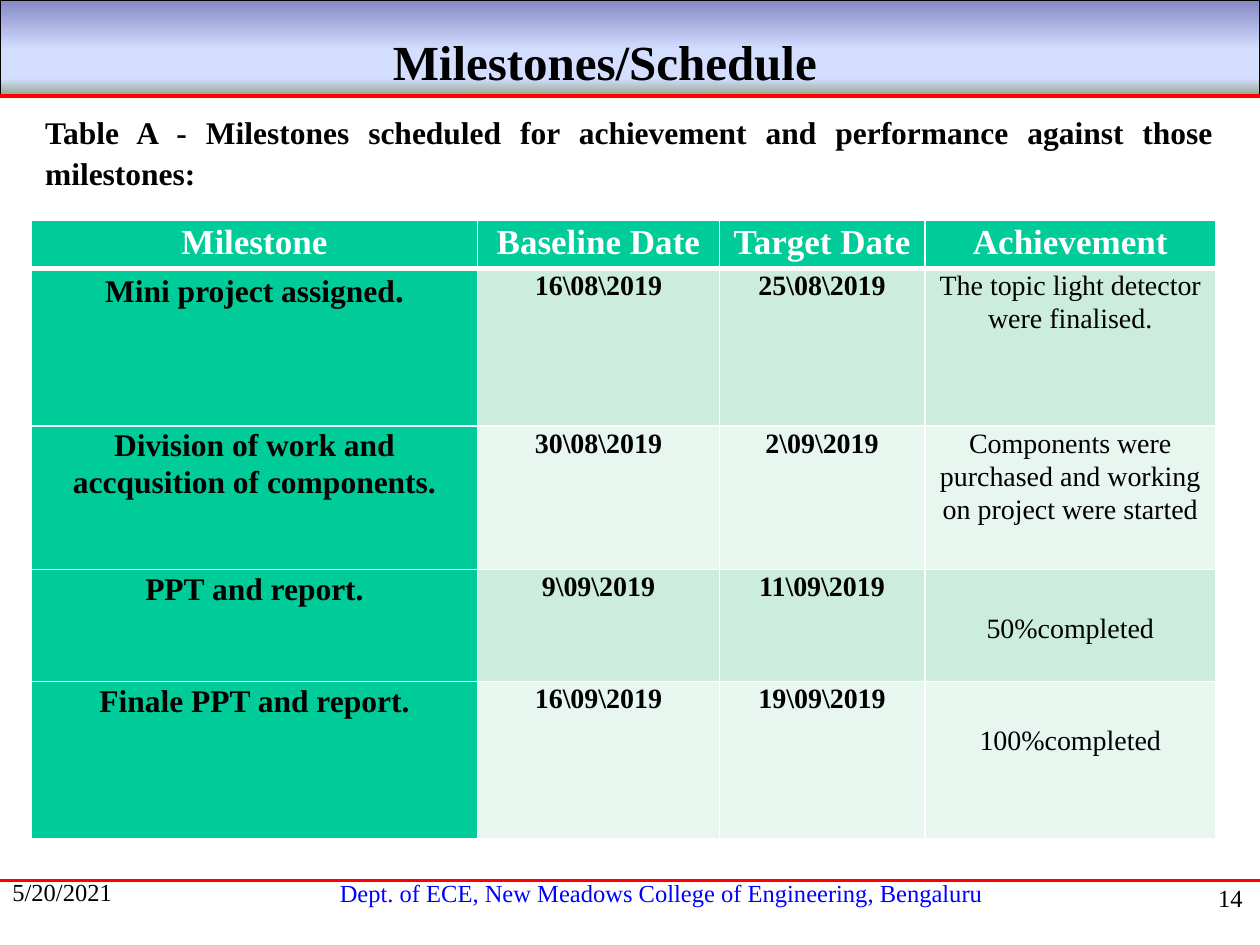
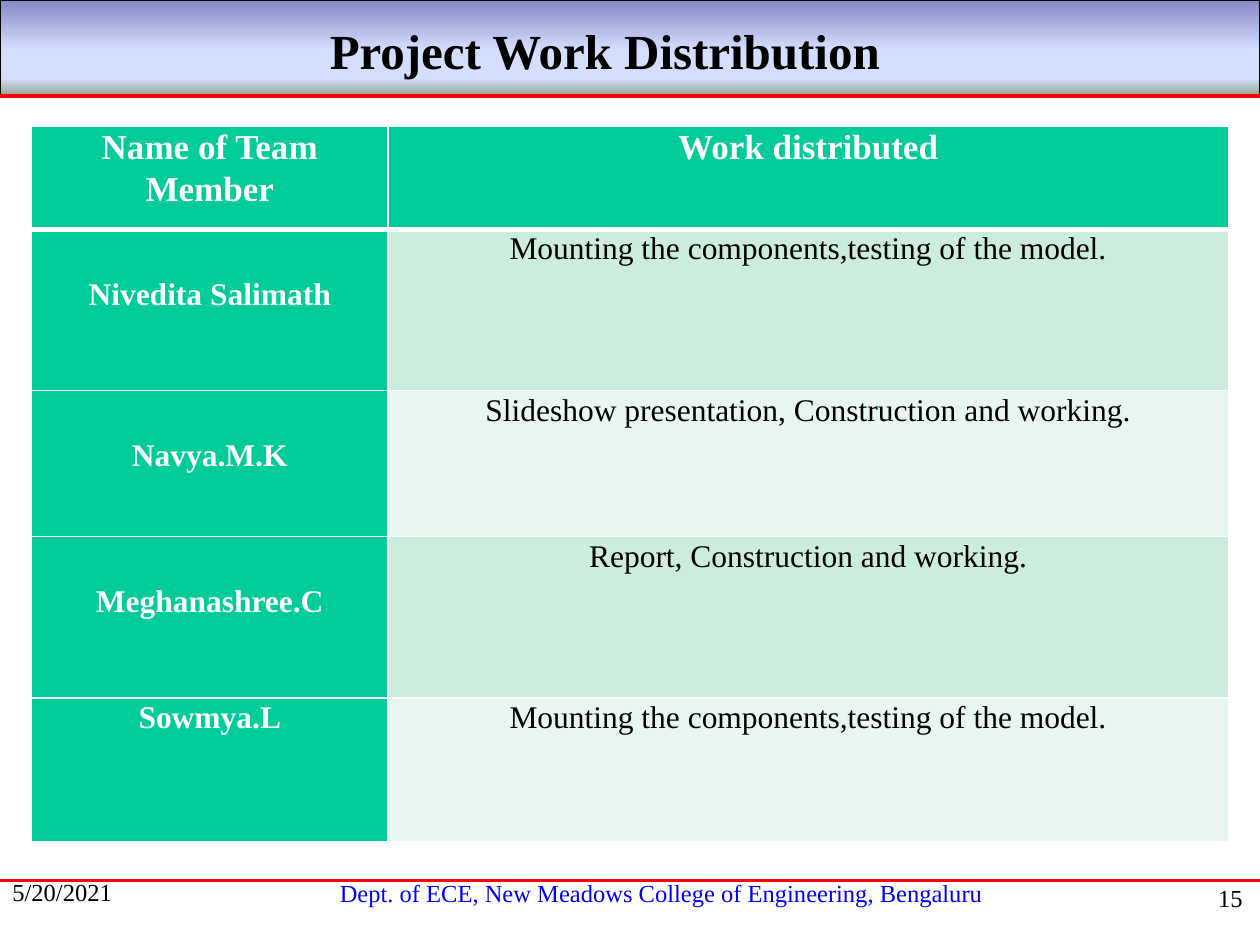
from dataclasses import dataclass
from lxml.etree import SubElement
from pptx import Presentation
from pptx.dml.color import RGBColor
from pptx.enum.shapes import MSO_CONNECTOR, MSO_SHAPE
from pptx.enum.text import MSO_ANCHOR, PP_ALIGN
from pptx.oxml.ns import qn
from pptx.util import Inches, Pt


@dataclass(frozen=True)
class Theme:
    font: str = "Times New Roman"
    black: str = "000000"
    white: str = "FFFFFF"
    red: str = "FF0000"
    blue: str = "0000FF"
    green: str = "00CC99"
    stripes: tuple = ("CCECDE", "E7F6EF")
    band_stops: tuple = ((0, "8488C4"), (53, "D4DEFF"), (83, "D4DEFF"), (100, "96AB94"))
    title_size: int = 28
    header_size: int = 20
    body_size: int = 18
    detail_size: int = 16
    footer_size: int = 14
    line_spacing: float = 1.07


THEME = Theme()
DATE = "5/20/2021"
DEPARTMENT = "Dept. of ECE, New Meadows College of Engineering, Bengaluru"


@dataclass(frozen=True)
class CellText:
    text: str
    size: int = THEME.body_size
    color: str = THEME.black
    bold: bool = False
    drop: float = 0  # distance of the text from the top of the cell
    ending: str = ""  # closing mark set in the header size


# Text
def style_paragraph(para, size, color=THEME.black, bold=False, align=PP_ALIGN.LEFT,
                    line_spacing=None):
    para.alignment = align
    para.font.name = THEME.font
    para.font.size = Pt(size)
    para.font.bold = bold
    para.font.color.rgb = RGBColor.from_string(color)
    if line_spacing:
        para.line_spacing = line_spacing


def add_text(page, text, left, top, width, height, size, **style):
    box = page.shapes.add_textbox(Inches(left), Inches(top), Inches(width), Inches(height))
    box.text_frame.word_wrap = True
    para = box.text_frame.paragraphs[0]
    para.text = text
    style_paragraph(para, size, **style)


def set_title(page, text, top):
    title = page.shapes.title
    title.left, title.top = Inches(2.3), Inches(top)
    title.width, title.height = Inches(5), Inches(0.58)
    title.text_frame.text = text
    title.text_frame.vertical_anchor = MSO_ANCHOR.TOP
    style_paragraph(title.text_frame.paragraphs[0], THEME.title_size, bold=True,
                    align=PP_ALIGN.CENTER, line_spacing=THEME.line_spacing)


# Band, rules and footer
def add_band(page):
    band = page.shapes.add_shape(MSO_SHAPE.RECTANGLE, 0, 0, Inches(10), Inches(0.75))
    band.shadow.inherit = False
    band.line.color.rgb = RGBColor.from_string(THEME.black)
    band.line.width = Pt(0.75)
    band.fill.gradient()
    band.fill.gradient_angle = 270
    stops = band.element.spPr.find(".//" + qn("a:gsLst"))
    stops.clear()
    for position, color in THEME.band_stops:
        stop = SubElement(stops, qn("a:gs"), pos=str(position * 1000))
        SubElement(stop, qn("a:srgbClr"), val=color)
    page.shapes.title.element.addprevious(band.element)


def add_rule(page, top, width):
    rule = page.shapes.add_connector(MSO_CONNECTOR.STRAIGHT, 0, Inches(top),
                                     Inches(10), Inches(top))
    rule.line.color.rgb = RGBColor.from_string(THEME.red)
    rule.line.width = Pt(width)
    SubElement(rule.element.spPr, qn("a:effectLst"))


def add_page(deck, title, title_top, number):
    page = deck.slides.add_slide(deck.slide_layouts[5])
    add_band(page)
    add_rule(page, 0.76, 2.25)
    add_rule(page, 6.99, 1.5)
    set_title(page, title, title_top)
    add_text(page, DEPARTMENT, 1.71, 6.92, 7.08, 0.33, THEME.footer_size,
             color=THEME.blue, align=PP_ALIGN.CENTER)
    add_text(page, DATE, 0, 6.91, 2.08, 0.5, THEME.footer_size)
    add_text(page, str(number), 7.88, 6.96, 2.08, 0.5, THEME.footer_size,
             align=PP_ALIGN.RIGHT)
    return page


# Tables
def set_borders(cell, top=1, bottom=1):
    properties = cell._tc.get_or_add_tcPr()
    widths = {"a:lnL": 1, "a:lnR": 1, "a:lnT": top, "a:lnB": bottom}
    for index, (tag, width) in enumerate(widths.items()):
        line = SubElement(properties, qn(tag), w=str(Pt(width)))
        SubElement(SubElement(line, qn("a:solidFill")), qn("a:srgbClr"), val=THEME.white)
        properties.insert(index, line)


def fill_cell(cell, content, fill):
    cell.fill.solid()
    cell.fill.fore_color.rgb = RGBColor.from_string(fill)
    cell.margin_left = cell.margin_right = Inches(0.06)
    cell.margin_top, cell.margin_bottom = Inches(content.drop), 0
    para = cell.text_frame.paragraphs[0]
    para.text = content.text
    style_paragraph(para, content.size, content.color, content.bold, PP_ALIGN.CENTER,
                    THEME.line_spacing)
    para.space_before = para.space_after = Pt(3)
    if content.ending:
        span = para.add_run()
        span.text = content.ending
        span.font.size = Pt(THEME.header_size)


def add_grid(page, top, widths, heights, headers, body):
    header_row = [CellText(text, THEME.header_size, THEME.white, True) for text in headers]
    rows = [header_row] + body
    table = page.shapes.add_table(len(rows), len(widths), Inches(0.25), Inches(top),
                                  Inches(sum(widths)), Inches(sum(heights))).table
    for column, width in zip(table.columns, widths):
        column.width = Inches(width)
    for row, height in zip(table.rows, heights):
        row.height = Inches(height)
    for i, contents in enumerate(rows):
        for j, content in enumerate(contents):
            cell = table.cell(i, j)
            is_key = i == 0 or j == 0
            fill_cell(cell, content, THEME.green if is_key else THEME.stripes[(i - 1) % 2])
            set_borders(cell, top=3 if i == 1 else 1, bottom=3 if i == 0 else 1)


def milestone_row(milestone, baseline, target, achievement, drop=0, ending=""):
    return [CellText(milestone, bold=True, ending=ending),
            CellText(baseline, THEME.detail_size, bold=True),
            CellText(target, THEME.detail_size, bold=True),
            CellText(achievement, THEME.detail_size, drop=drop)]


def member_row(name, work, drop=0.36):
    return [CellText(name, color=THEME.white, bold=True, drop=drop), CellText(work)]


# Slides
def add_milestones(deck):
    page = add_page(deck, "Milestones/Schedule", 0.17, 14)
    add_text(page, "Table A - Milestones scheduled for achievement and performance "
             "against those milestones:", 0.26, 0.83, 9.47, 0.71, THEME.body_size,
             bold=True, align=PP_ALIGN.JUSTIFY, line_spacing=THEME.line_spacing)
    add_grid(page, 1.75, (3.54, 1.92, 1.63, 2.31), (0.38, 1.25, 1.14, 0.89, 1.25),
             ("Milestone", "Baseline Date", "Target Date", "Achievement"), [
        milestone_row("Mini project assigned", "16\\08\\2019", "25\\08\\2019",
                      "The topic light detector were finalised.", ending="."),
        milestone_row("Division of work and accqusition of components.",
                      "30\\08\\2019", "2\\09\\2019",
                      "Components were purchased and working on project were started"),
        milestone_row("PPT and report.", "9\\09\\2019", "11\\09\\2019",
                      "50%completed", drop=0.33),
        milestone_row("Finale PPT and report.", "16\\09\\2019", "19\\09\\2019",
                      "100%completed", drop=0.33),
    ])


def add_work_distribution(deck):
    page = add_page(deck, "Project Work Distribution", 0.08, 15)
    mounting = "Mounting the components,testing of the model."
    add_grid(page, 1, (2.83, 6.67), (0.82, 1.28, 1.16, 1.28, 1.14),
             ("Name of Team Member", "Work distributed"), [
        member_row("Nivedita Salimath", mounting),
        member_row("Navya.M.K", "Slideshow presentation, Construction and working."),
        member_row("Meghanashree.C", "Report, Construction and working."),
        member_row("Sowmya.L", mounting, drop=0),
    ])


def main():
    deck = Presentation()
    deck.slide_width, deck.slide_height = Inches(10), Inches(7.5)
    add_milestones(deck)
    add_work_distribution(deck)
    deck.save("out.pptx")


if __name__ == "__main__":
    main()
